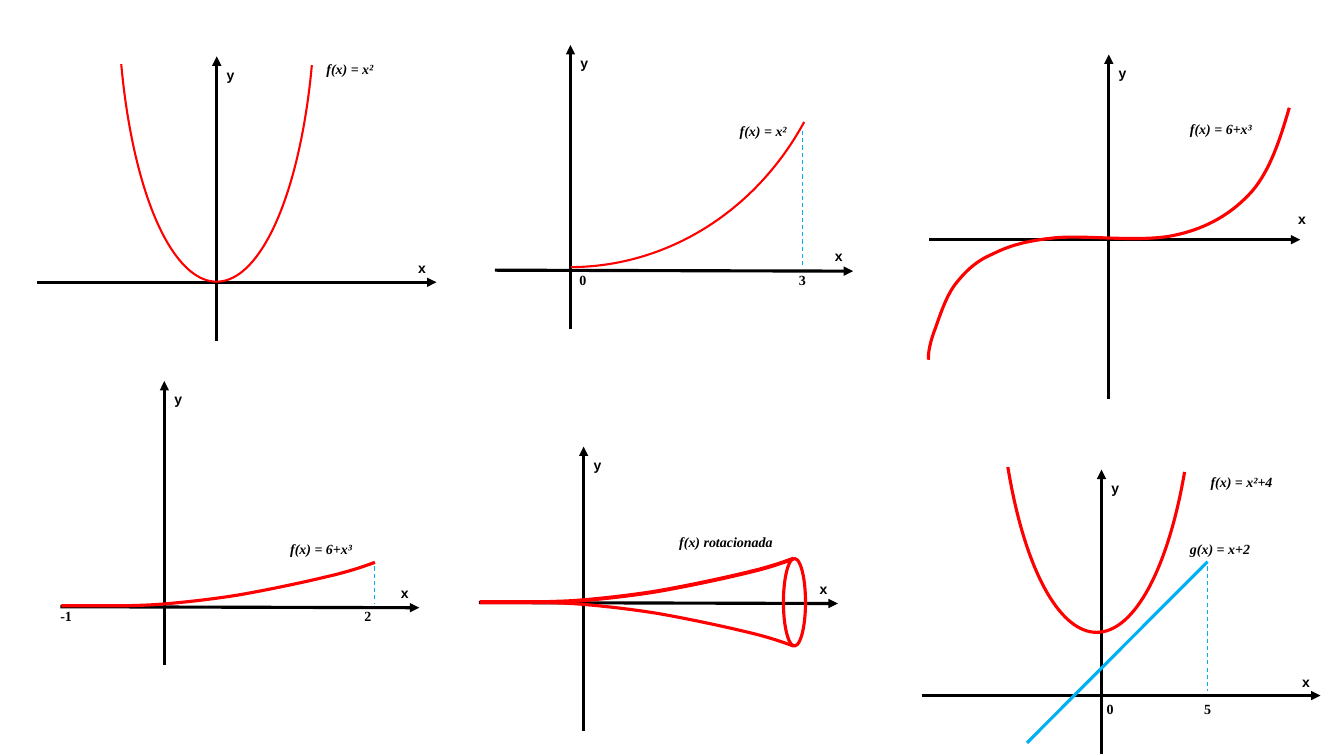
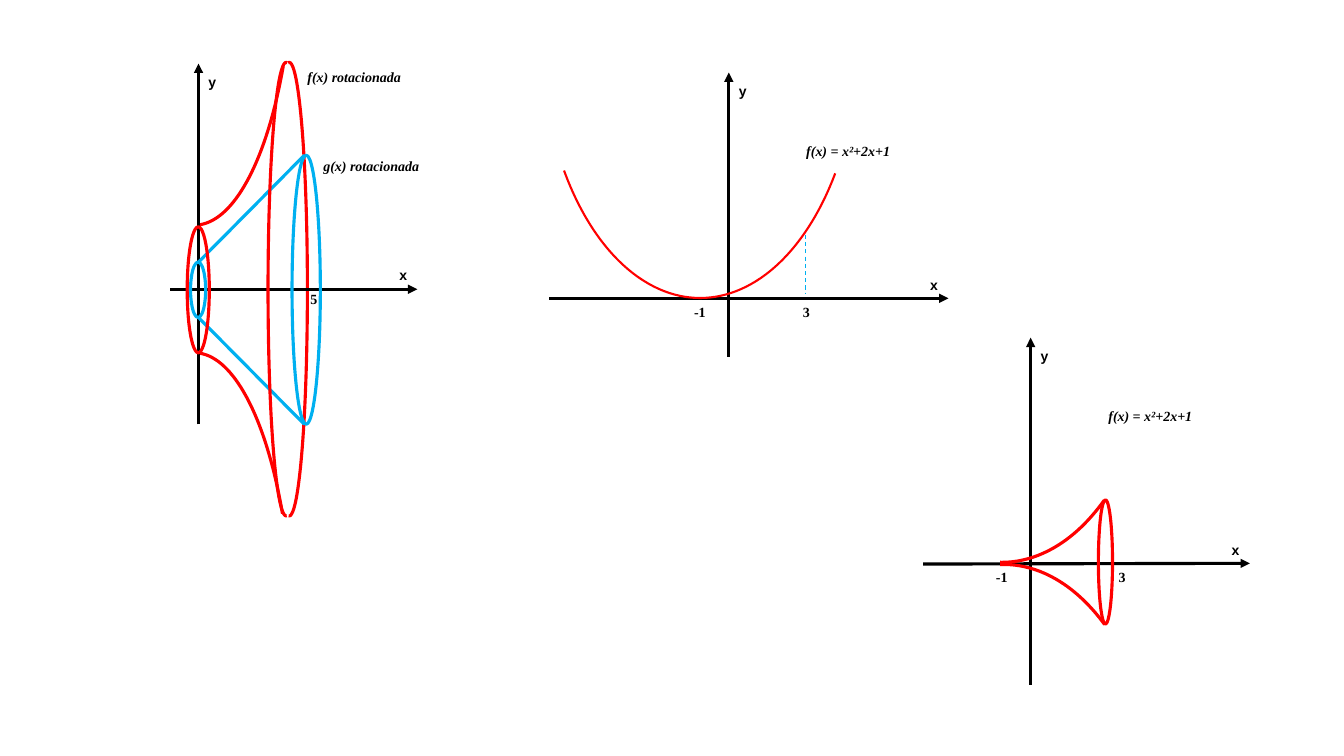
from pptx import Presentation
from pptx.dml.color import RGBColor
from pptx.enum.dml import MSO_LINE
from pptx.enum.shapes import MSO_CONNECTOR, MSO_SHAPE
from pptx.enum.text import MSO_AUTO_SIZE
from pptx.oxml.ns import qn
from pptx.util import Pt
from lxml.etree import SubElement

BLACK = RGBColor(0x00, 0x00, 0x00)
RED = RGBColor(0xFF, 0x00, 0x00)
BLUE = RGBColor(0x00, 0xB0, 0xF0)

THICK, MEDIUM, THIN = 2.25, 1.5, 0.75

CUBIC = [
    (920.9, 77), (914.4, 99.4), (907.2, 121.7), (894.2, 136.8),
    (880.6, 151.9), (863.3, 162.7), (840.2, 167.8),
    (816.5, 173.5), (776.2, 167.8), (753.8, 169.9),
    (732.2, 172.1), (720.7, 175.7), (709.2, 181.4),
    (697, 186.5), (689, 194.4), (681.8, 203.8),
    (674.6, 213.8), (670.3, 229), (666.7, 238.3),
    (663.8, 247), (663.1, 252), (663.1, 257),
]
BRANCH = [
    (0, 0), (46.4, 0),
    (59, 0.4), (63.7, 0.4), (77, 1.6),
    (90.3, 2.8), (107.6, 4.7), (126, 7.6),
    (144.7, 10.8), (172, 16.5), (188.5, 20.5),
    (205, 24.3), (214.3, 27.5), (223.9, 31),
]


class GraphSheet:
    text_size = 10
    label_height = 19.4
    label_width = 20.2

    def __init__(self):
        self.deck = Presentation()
        self.deck.slide_width, self.deck.slide_height = Pt(960), Pt(540)

    def new_slide(self):
        self.slide = self.deck.slides.add_slide(self.deck.slide_layouts[6])

    def new_graph(self):
        self.graph = self.slide.shapes.add_group_shape().shapes

    def line(self, start, end, color, width=THICK, dashed=False, arrow=False):
        stroke = self.graph.add_connector(
            MSO_CONNECTOR.STRAIGHT, *(Pt(v) for v in (*start, *end)))
        stroke.line.color.rgb = color
        stroke.line.width = Pt(width)
        if dashed:
            stroke.line.dash_style = MSO_LINE.DASH
        properties = stroke.element.spPr
        if arrow:
            SubElement(properties.find(qn("a:ln")), qn("a:tailEnd"), type="triangle")
        SubElement(properties, qn("a:effectLst"))

    def marker(self, x, top, bottom):
        self.line((x, top), (x, bottom), BLUE, THIN, dashed=True)

    def label(self, text, x, y, width=label_width, font="Times New Roman", italic=False):
        box = self.graph.add_textbox(Pt(x), Pt(y), Pt(width), Pt(self.label_height))
        frame = box.text_frame
        frame.word_wrap = True
        frame.auto_size = MSO_AUTO_SIZE.SHAPE_TO_FIT_TEXT
        frame.text = text
        style = frame.paragraphs[0].runs[0].font
        style.name, style.size, style.bold = font, Pt(self.text_size), True
        style.italic = italic or None
        style.color.rgb = BLACK

    def formula(self, text, x, y, width):
        self.label(text, x, y, width, italic=True)

    def axes(self, left, right, level, center, bottom, top, drop=0, x_shift=(0, 0)):
        self.line((left, level), (right, level + drop), BLACK, arrow=True)
        self.line((center, bottom), (center, top), BLACK, arrow=True)
        self.label("x", right - self.label_width + x_shift[0],
                   level - self.label_height + x_shift[1], font="Arial")
        self.label("y", center, top + 3.5, font="Arial")

    def outline(self, shape, color, width):
        shape.shadow.inherit = False
        shape.fill.background()
        shape.line.color.rgb = color
        shape.line.width = Pt(width)

    def ellipse(self, x, y, width, height, color=RED):
        rim = self.graph.add_shape(MSO_SHAPE.OVAL, Pt(x), Pt(y), Pt(width), Pt(height))
        self.outline(rim, color, THICK)

    def arc(self, x, y, width, height, start, end, weight=THICK, flip=None):
        bow = self.graph.add_shape(MSO_SHAPE.ARC, Pt(x), Pt(y), Pt(width), Pt(height))
        bow.adjustments[0], bow.adjustments[1] = start, end
        if flip:
            bow.element.spPr.find(qn("a:xfrm")).set(flip, "1")
        self.outline(bow, RED, weight)

    def curve(self, controls, straight=0):
        start, *rest = [(Pt(x), Pt(y)) for x, y in controls]
        builder = self.graph.build_freeform(*start)
        builder.add_line_segments(rest, close=False)
        trace = builder.convert_to_shape()
        segments = iter(list(trace.element.iter(qn("a:lnTo")))[straight:])
        for bend, *others in zip(segments, segments, segments):
            bend.tag = qn("a:cubicBezTo")
            for other in others:
                bend.append(other[0])
                other.getparent().remove(other)
        self.outline(trace, RED, THICK)

    def branch(self, x, y, direction=-1):
        self.curve([(x + dx, y + direction * dy) for dx, dy in BRANCH], straight=1)


sheet = GraphSheet()

sheet.new_slide()

sheet.new_graph()
sheet.axes(26.6, 311.8, 201.6, 154.8, 243.4, 40.3, x_shift=(0, -0.4))
sheet.arc(84.2, -219.3, 141.1, 420.5, 23.56, 84.68, MEDIUM)
sheet.formula("f(x) = x²", 226.1, 40, 52.6)

sheet.new_graph()
sheet.axes(663.8, 928.8, 171.2, 792, 285.1, 39, x_shift=(11.5, -5))
sheet.curve(CUBIC)
sheet.formula("f(x) = 6+x³", 842.9, 82.8, 69.1)

sheet.new_graph()
sheet.axes(43.2, 299.5, 433.4, 117.4, 475.2, 272.2, drop=0.7)
sheet.label("-1", 36, 430.6, 28.1)
sheet.label("2", 253.2, 430.6)
sheet.branch(43.9, 432.7)
sheet.marker(267.8, 404.6, 430.6)
sheet.formula("f(x) = 6+x³", 200.2, 382.7, 69.1)

sheet.new_graph()
sheet.axes(342, 598.5, 430.4, 416.9, 522, 319, drop=0.7)
sheet.branch(342.7, 430.4)
sheet.branch(342.7, 430.4, direction=1)
sheet.branch(342.7, 429.8)
sheet.ellipse(559.6, 398.9, 15.8, 62.6)
sheet.formula("f(x) rotacionada", 478.1, 377.3, 81.4)

sheet.new_graph()
sheet.axes(353.5, 609.4, 193, 407.5, 235.2, 32.2, drop=0.7)
sheet.label("0", 406.8, 190.5)
sheet.label("3", 563.6, 190.5)
sheet.arc(213.1, -229.7, 388.1, 420.5, 19.5, 53.88, MEDIUM)
sheet.formula("f(x) = x²", 521.3, 84.2, 52.6)
sheet.marker(573.1, 93.6, 190.8)

sheet.new_graph()
sheet.axes(658.3, 943.2, 496.8, 786.8, 538.6, 335.5)
sheet.arc(712.8, 31.2, 141.1, 420.5, 34.02, 74.72)
sheet.formula("f(x) = x²+4", 857.6, 335, 65.5)
sheet.line((733.6, 530.6), (862.6, 401.2), BLUE)
sheet.label("5", 853, 496.8)
sheet.label("0", 783.4, 496.8)
sheet.marker(862.6, 404.6, 493.9)
sheet.formula("g(x) = x+2", 842.9, 382.3, 65.5)

sheet.new_slide()

sheet.new_graph()
sheet.arc(67.7, -259, 142.6, 419.8, 34.02, 53.67)
sheet.arc(68.4, 252, 141.1, 421.2, 34.02, 53.67, flip="flipV")
sheet.arc(193.7, 44.6, 25.9, 324, 53.91, 162.16, flip="flipH")
sheet.axes(121.7, 298.1, 206.6, 141.8, 303.1, 45.4, x_shift=(0.2, -0.3))
sheet.formula("f(x) rotacionada", 212.5, 45.1, 83.5)
sheet.line((141.8, 187.2), (217.4, 110.9), BLUE)
sheet.line((141.8, 226.8), (217.4, 303.1), BLUE)
sheet.ellipse(133.7, 162, 15.8, 90)
sheet.ellipse(136.1, 187.2, 10.8, 39.6, BLUE)
sheet.ellipse(208.6, 110.9, 20.2, 192.2, BLUE)
sheet.arc(191.5, 44.6, 25.9, 324, 53.91, 162.16)
sheet.formula("g(x) rotacionada", 223.9, 108.7, 83.5)
sheet.label("5", 214.6, 203.8)

sheet.new_graph()
sheet.axes(392.4, 677.5, 213.1, 520.6, 254.9, 51.8)
sheet.arc(386.4, -165.8, 227.5, 378.7, 27.67, 80.81, MEDIUM)
sheet.formula("f(x) = x²+2x+1", 568.8, 97.9, 85.7)
sheet.label("-1", 488.7, 213.1, 25.2)
sheet.label("3", 566.4, 213, 25.2)
sheet.marker(575.3, 167.8, 210.2)

sheet.new_graph()
sheet.axes(659.4, 892.8, 402.9, 736.2, 489, 241.2, drop=-0.5)
sheet.arc(601.9, 23, 227.5, 378.7, 37.99, 54.21)
sheet.formula("f(x) = x²+2x+1", 784.6, 287.3, 85.7)
sheet.label("-1", 704.3, 402.5, 25.2)
sheet.label("3", 792, 402.5, 25.2)
sheet.arc(603.2, 403.2, 227.5, 378.7, 38.28, 54.45, flip="flipV")
sheet.ellipse(784.6, 357.1, 10.1, 88.6)

sheet.deck.save("out.pptx")
